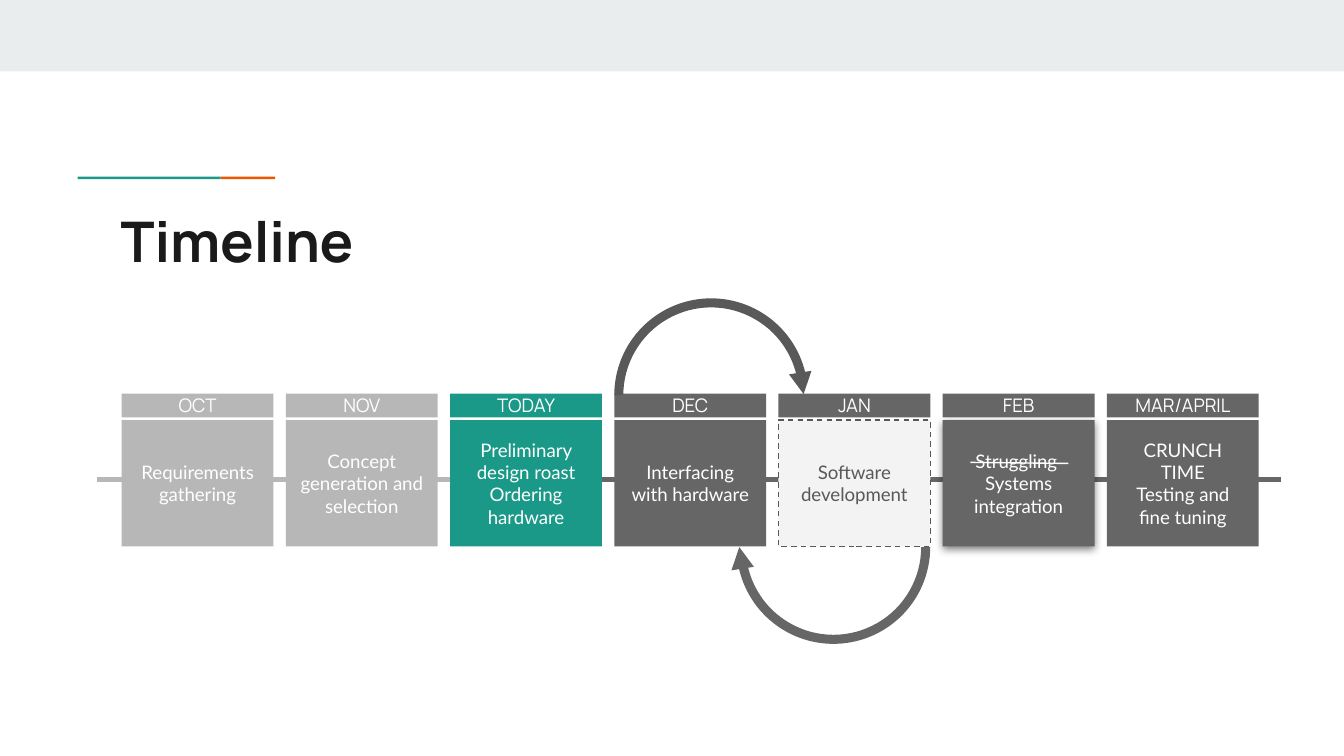
from lxml.etree import SubElement
from pptx import Presentation
from pptx.dml.color import RGBColor
from pptx.enum.dml import MSO_LINE
from pptx.enum.shapes import MSO_CONNECTOR, MSO_SHAPE
from pptx.enum.text import MSO_ANCHOR, PP_ALIGN
from pptx.oxml.ns import qn
from pptx.util import Cm, Pt

COLORS = {
    "band": "E9EDEE", "teal": "1A9988", "orange": "EB5600", "ink": "1A1A1A",
    "past": "B7B7B7", "future": "666666", "dark": "595959",
    "pale": "F3F3F3", "white": "FFFFFF",
}

# month, month fill, body fill, body text colour, paragraphs
STAGES = [
    ("OCT", "past", "past", "white", ["Requirements gathering"]),
    ("NOV", "past", "past", "white", ["Concept generation and selection"]),
    ("TODAY", "teal", "teal", "white", ["Preliminary design roast", "Ordering hardware"]),
    ("DEC", "future", "future", "white", ["Interfacing with hardware"]),
    ("JAN", "future", "pale", "dark", ["Software development"]),
    ("FEB", "future", "future", "white", ["Struggling ", "Systems integration"]),
    ("MAR/APRIL", "future", "future", "white", ["CRUNCH TIME", "Testing and fine tuning"]),
]
DASHED, RAISED = "JAN", "FEB"

# left, top, width, height in cm, fill
BARS = [
    (0, 0, 25.4, 1.35, "band"),
    (1.47, 3.34, 2.7, 0.05, "teal"),
    (4.17, 3.34, 1.03, 0.05, "orange"),
]

# start x, start y, end x, end y in cm, colour, points
AXIS = [
    (11.3, 9.06, 24.2, 9.06, "future", 3),
    (1.83, 9.06, 10.77, 9.06, "past", 3),
]
STRIKE = (18.34, 8.74, 20.19, 8.76, "white", 0.75)

# arc left and top, head left and top in cm, rotation of arc and head, fill
LOOPS = [
    (11.61, 5.64, 14.94, 7.04, 0, 171.1, "dark"),
    (13.92, 8.51, 13.79, 10.34, 180, 351.1, "future"),
]
ARC_SIZE, ARC_ADJUSTMENTS = 3.66, (108, 211.457, 0.047)
HEAD_WIDTH, HEAD_HEIGHT = 0.43, 0.41

FIRST_LEFT, LAST_LEFT, STAGE_WIDTH = 2.3, 20.92, 2.87
MONTH_TOP, MONTH_HEIGHT = 7.44, 0.45
BODY_TOP, BODY_HEIGHT = 7.94, 2.39
STAGE_STEP = (LAST_LEFT - FIRST_LEFT) / (len(STAGES) - 1)


def color(name):
    return RGBColor.from_string(COLORS[name])


def add_filled(page, kind, left, top, width, height, fill):
    shape = page.shapes.add_shape(kind, Cm(left), Cm(top), Cm(width), Cm(height))
    shape.shadow.inherit = False
    shape.fill.solid()
    shape.fill.fore_color.rgb = color(fill)
    shape.line.fill.background()
    return shape


def write(box, paragraphs, font_color, anchor, align, **font_format):
    frame = box.text_frame
    inset = Cm(0.25)
    frame_format = {
        "word_wrap": True, "vertical_anchor": anchor, "margin_left": inset,
        "margin_right": inset, "margin_top": inset, "margin_bottom": inset,
    }
    for name, value in frame_format.items():
        setattr(frame, name, value)
    for index, text in enumerate(paragraphs):
        para = frame.add_paragraph() if index else frame.paragraphs[0]
        para.alignment = align
        span = para.add_run()
        span.text = text
        span.font.color.rgb = color(font_color)
        for name, value in font_format.items():
            setattr(span.font, name, value)


def add_line(page, x1, y1, x2, y2, line_color, points):
    line = page.shapes.add_connector(
        MSO_CONNECTOR.STRAIGHT, Cm(x1), Cm(y1), Cm(x2), Cm(y2))
    line.line.color.rgb = color(line_color)
    line.line.width = Pt(points)
    SubElement(line._element.spPr, qn("a:effectLst"))


def add_drop_shadow(shape):
    effects = shape._element.spPr.find(qn("a:effectLst"))
    shadow = SubElement(effects, qn("a:outerShdw"), blurRad=str(Pt(4.5)),
                        dist=str(Pt(1.5)), dir="5400000", algn="bl", rotWithShape="0")
    black = SubElement(shadow, qn("a:srgbClr"), val="000000")
    SubElement(black, qn("a:alpha"), val="50000")


def add_stage(page, left, month, month_fill, body_fill, body_color, paragraphs):
    body = add_filled(page, MSO_SHAPE.RECTANGLE, left, BODY_TOP,
                      STAGE_WIDTH, BODY_HEIGHT, body_fill)
    header = add_filled(page, MSO_SHAPE.RECTANGLE, left, MONTH_TOP,
                        STAGE_WIDTH, MONTH_HEIGHT, month_fill)
    centred = {"anchor": MSO_ANCHOR.MIDDLE, "align": PP_ALIGN.CENTER, "size": Pt(10)}
    write(body, paragraphs, body_color, name="Lato", **centred)
    write(header, [month], "white", name="Manrope", **centred)
    if month == DASHED:
        body.line.color.rgb = color("dark")
        body.line.width = Pt(0.75)
        body.line.dash_style = MSO_LINE.DASH
    if month == RAISED:
        add_drop_shadow(body)


def add_loop(page, arc_left, arc_top, head_left, head_top, arc_turn, head_turn, fill):
    arc = add_filled(page, MSO_SHAPE.BLOCK_ARC, arc_left, arc_top, ARC_SIZE, ARC_SIZE, fill)
    arc.rotation = arc_turn
    for index, value in enumerate(ARC_ADJUSTMENTS):
        arc.adjustments[index] = value
    head = add_filled(page, MSO_SHAPE.ISOSCELES_TRIANGLE, head_left, head_top,
                      HEAD_WIDTH, HEAD_HEIGHT, fill)
    head.rotation = head_turn


def main():
    deck = Presentation()
    deck.slide_width, deck.slide_height = Cm(25.4), Cm(14.29)
    page = deck.slides.add_slide(deck.slide_layouts[6])

    for bar in BARS:
        add_filled(page, MSO_SHAPE.RECTANGLE, *bar)
    for line in AXIS:
        add_line(page, *line)

    title = page.shapes.add_textbox(Cm(2.03), Cm(3.66), Cm(21.36), Cm(1.5))
    write(title, ["Timeline"], "ink", MSO_ANCHOR.TOP, PP_ALIGN.LEFT,
          name="Manrope", size=Pt(30), bold=True)

    for index, stage in enumerate(STAGES):
        add_stage(page, FIRST_LEFT + index * STAGE_STEP, *stage)
    for loop in LOOPS:
        add_loop(page, *loop)
    add_line(page, *STRIKE)

    deck.save("out.pptx")


if __name__ == "__main__":
    main()
